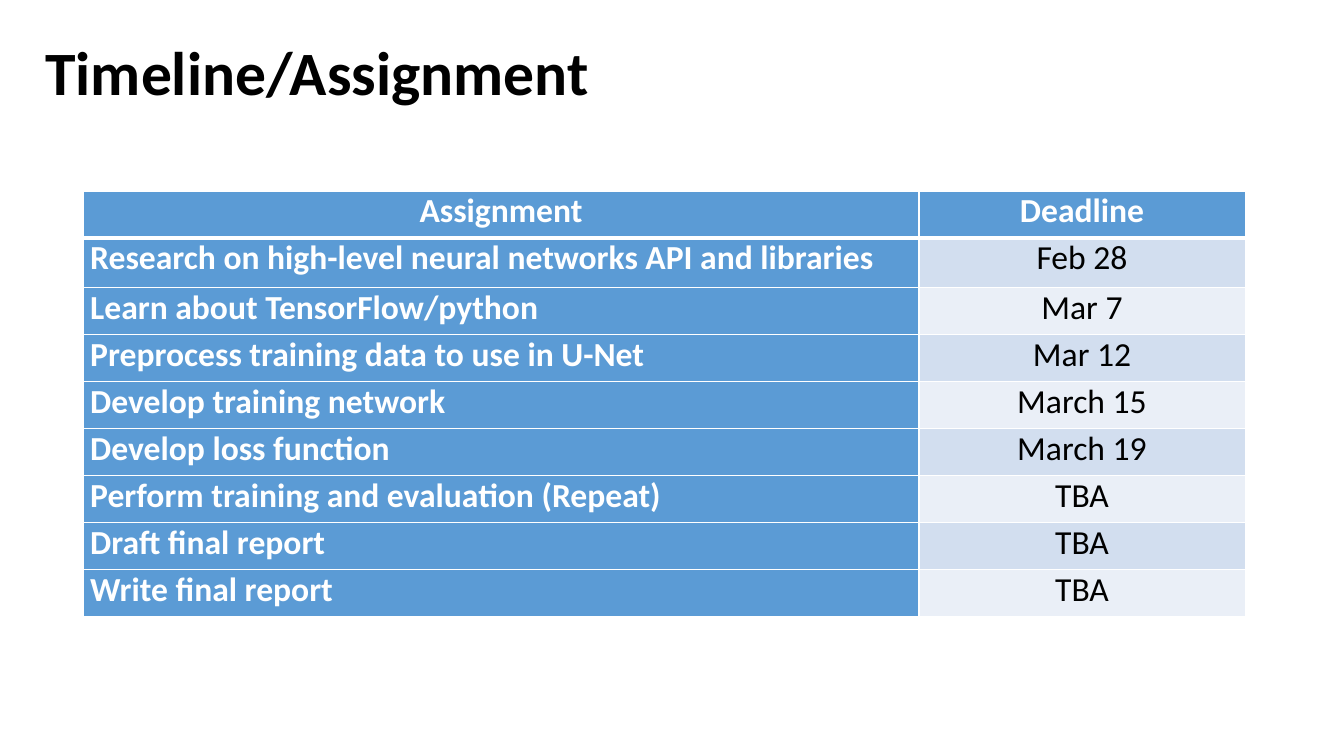
from lxml import etree
from pptx import Presentation
from pptx.dml.color import RGBColor
from pptx.enum import text
from pptx.oxml import ns
from pptx.util import Pt

TITLE = "Timeline/Assignment"
ROWS = [
    ("Assignment", "Deadline"),
    ("Research on high-level neural networks API and libraries ", "Feb 28"),
    ("Learn about TensorFlow/python", "Mar 7"),
    ("Preprocess training data to use in U-Net", "Mar 12"),
    ("Develop training network", "March 15"),
    ("Develop loss function", "March 19"),
    ("Perform training and evaluation (Repeat)", "TBA"),
    ("Draft final report", "TBA"),
    ("Write final report", "TBA"),
]
FONT = "Calibri"
BLACK, WHITE, BLUE = "000000", "FFFFFF", "5B9BD5"
BANDS = ("EAEFF7", "D2DEEF")
COLUMN_WIDTHS = (597, 233)
ROW_HEIGHT, FIRST_TASK_HEIGHT = 33.6, 35.3
TABLE_LEFT, TABLE_TOP = 59.4, 136.4
THIN, THICK = 1, 3


def color(value):
    return RGBColor.from_string(value)


def set_attributes(target, values):
    for name, value in values.items():
        setattr(target, name, value)


def format_text(para, size, bold, fill):
    set_attributes(para.font, {"name": FONT, "size": Pt(size), "bold": bold})
    para.font.color.rgb = color(fill)


def add_border(cell, side, width):
    line = etree.SubElement(cell._tc.get_or_add_tcPr(), ns.qn(f"a:ln{side}"), w=str(Pt(width)))
    solid = etree.SubElement(line, ns.qn("a:solidFill"))
    etree.SubElement(solid, ns.qn("a:srgbClr"), val=WHITE)


def fill_cell(cell, content, row, column):
    heading = row == 0 or column == 0
    widths = {"L": THIN, "R": THIN,
              "T": THICK if row == 1 else THIN,
              "B": THICK if row == 0 else THIN}
    for side, width in widths.items():
        add_border(cell, side, width)
    cell.fill.solid()
    cell.fill.fore_color.rgb = color(BLUE if heading else BANDS[row % 2])
    set_attributes(cell, {"margin_left": Pt(5.04), "margin_right": Pt(5.04),
                          "margin_top": 0, "margin_bottom": 0, "text": content})
    para = cell.text_frame.paragraphs[0]
    task = row > 0 and column == 0
    para.alignment = text.PP_ALIGN.JUSTIFY if task else text.PP_ALIGN.CENTER
    format_text(para, 24, heading, WHITE if heading else BLACK)


deck = Presentation()
set_attributes(deck, {"slide_width": Pt(960), "slide_height": Pt(540)})
page = deck.slides.add_slide(deck.slide_layouts[5])

title = page.shapes.title
set_attributes(title, {"left": Pt(25.2), "top": Pt(25.2), "width": Pt(537), "height": Pt(57.6)})
set_attributes(title.text_frame, {"text": TITLE, "word_wrap": True,
                                  "auto_size": text.MSO_AUTO_SIZE.NONE,
                                  "vertical_anchor": text.MSO_ANCHOR.MIDDLE})
para = title.text_frame.paragraphs[0]
set_attributes(para, {"alignment": text.PP_ALIGN.LEFT, "line_spacing": 0.9})
format_text(para, 44, True, BLACK)

heights = [FIRST_TASK_HEIGHT if row == 1 else ROW_HEIGHT for row in range(len(ROWS))]
table = page.shapes.add_table(
    len(ROWS), len(COLUMN_WIDTHS), Pt(TABLE_LEFT), Pt(TABLE_TOP),
    Pt(sum(COLUMN_WIDTHS)), Pt(sum(heights))).table
table.first_col = True
for column, width in zip(table.columns, COLUMN_WIDTHS):
    column.width = Pt(width)
for row, (contents, height) in enumerate(zip(ROWS, heights)):
    table.rows[row].height = Pt(height)
    for column, content in enumerate(contents):
        fill_cell(table.cell(row, column), content, row, column)

deck.save("out.pptx")
